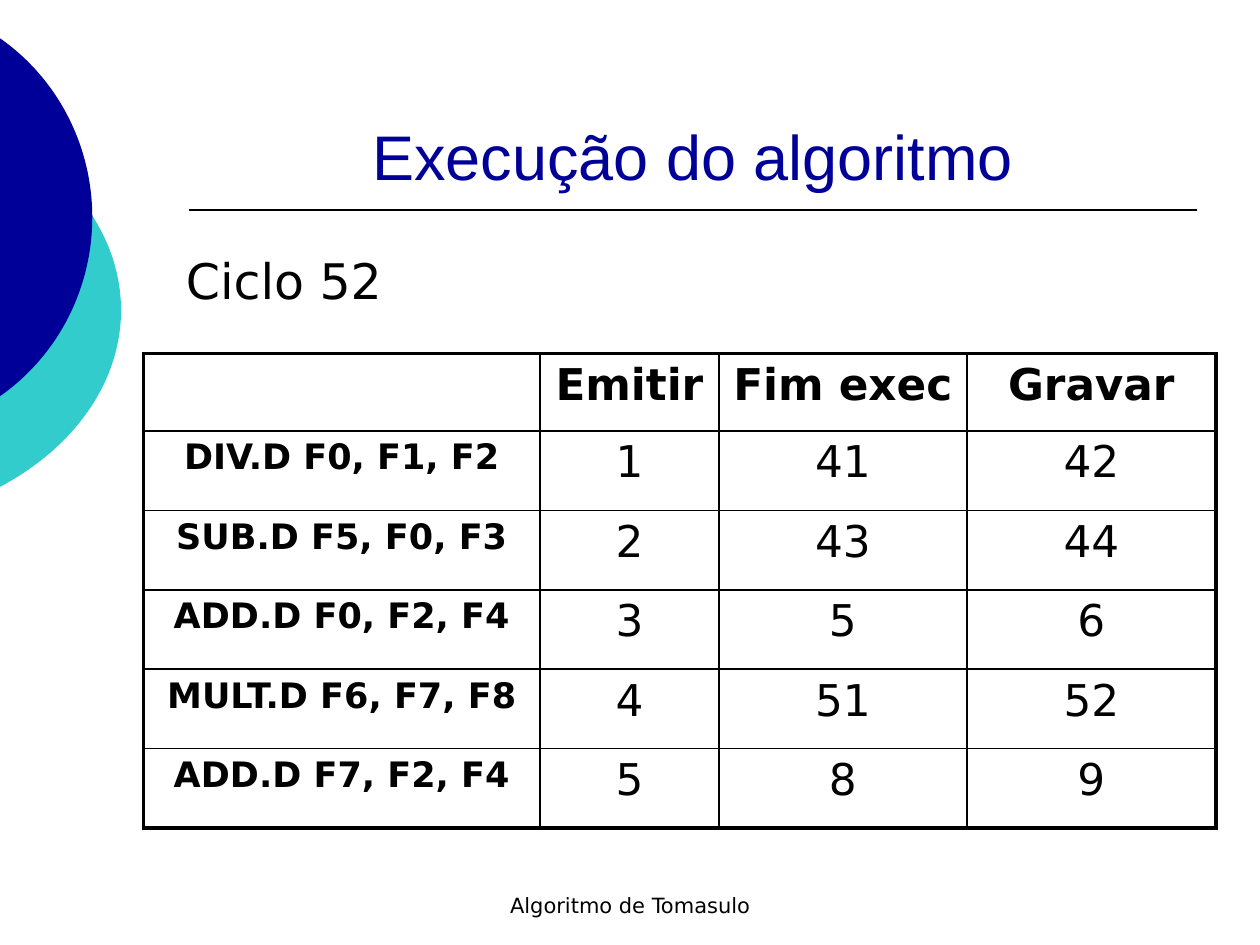
"""Build the slide that shows cycle 52 of the Tomasulo algorithm run."""
from lxml import etree
from pptx import Presentation
from pptx.dml.color import RGBColor
from pptx.enum.shapes import MSO_CONNECTOR, MSO_SHAPE
from pptx.enum.text import MSO_ANCHOR, PP_ALIGN
from pptx.oxml.ns import qn
from pptx.util import Cm, Pt

OVAL, STRAIGHT = MSO_SHAPE.OVAL, MSO_CONNECTOR.STRAIGHT
TOP, BOTTOM = MSO_ANCHOR.TOP, MSO_ANCHOR.BOTTOM
LEFT, CENTER = PP_ALIGN.LEFT, PP_ALIGN.CENTER

BLACK, NAVY, TURQUOISE = "000000", "000099", "33CCCC"
BODY_FONT, TITLE_FONT = "DejaVu Sans", "Arial"
THIN, THICK = 1, 2.25

ROWS = [
    ("", "Emitir", "Fim exec", "Gravar"),
    ("DIV.D F0, F1, F2", "1", "41", "42"),
    ("SUB.D F5, F0, F3", "2", "43", "44"),
    ("ADD.D F0, F2, F4", "3", "5", "6"),
    ("MULT.D F6, F7, F8", "4", "51", "52"),
    ("ADD.D F7, F2, F4", "5", "8", "9"),
]
COLUMN_WIDTHS = [8, 3.6, 5, 5.02]
ROW_HEIGHTS = [1.56] + [1.6] * (len(ROWS) - 1)
TABLE_LEFT, TABLE_TOP = 2.89, 7.13

DISCS = [
    ((-8.99, 1.91, 11.43, 8.69), TURQUOISE),
    ((-6.73, 0, 8.59, 8.76), NAVY),
]


def rgb(color):
    """Turn a hex string into a colour."""
    return RGBColor.from_string(color)


def write(frame, text, size, font=BODY_FONT, color=BLACK, bold=False, align=CENTER):
    """Put one formatted paragraph into a text frame."""
    paragraph = frame.paragraphs[0]
    paragraph.alignment = align
    run = paragraph.add_run()
    run.text = text
    run.font.size = Pt(size)
    run.font.name = font
    run.font.bold = bold
    run.font.color.rgb = rgb(color)


def add_text(slide, text, box, anchor=TOP, **text_format):
    """Add a wrapped text box."""
    frame = slide.shapes.add_textbox(*map(Cm, box)).text_frame
    frame.word_wrap = True
    frame.vertical_anchor = anchor
    write(frame, text, **text_format)


def add_disc(slide, box, color):
    """Draw a plain disc that runs over the slide's left edge."""
    shape = slide.shapes.add_shape(OVAL, *map(Cm, box))
    shape.shadow.inherit = False
    shape.fill.solid()
    shape.fill.fore_color.rgb = rgb(color)
    shape.line.fill.background()


def add_rule(slide, left, right, top):
    """Draw the thin line below the title."""
    connector = slide.shapes.add_connector(STRAIGHT, Cm(left), Cm(top), Cm(right), Cm(top))
    connector.line.color.rgb = rgb(BLACK)
    connector.line.width = Pt(THIN)
    properties = connector._element.find(qn("p:spPr"))
    etree.SubElement(properties, qn("a:effectLst"))


def set_borders(cell, widths):
    """Set the left, right, top and bottom borders of a cell."""
    properties = cell._tc.get_or_add_tcPr()
    for position, (side, width) in enumerate(zip("LRTB", widths)):
        line = etree.Element(qn(f"a:ln{side}"), w=str(Pt(width)))
        fill = etree.SubElement(line, qn("a:solidFill"))
        etree.SubElement(fill, qn("a:srgbClr"), val=BLACK)
        properties.insert(position, line)


def add_schedule(slide):
    """Add the table of instructions and their cycles."""
    box = (TABLE_LEFT, TABLE_TOP, sum(COLUMN_WIDTHS), sum(ROW_HEIGHTS))
    table = slide.shapes.add_table(len(ROWS), len(COLUMN_WIDTHS), *map(Cm, box)).table
    table.first_row = table.horz_banding = False
    for column, width in zip(table.columns, COLUMN_WIDTHS):
        column.width = Cm(width)
    last_row, last_column = len(ROWS) - 1, len(COLUMN_WIDTHS) - 1
    for row, texts in enumerate(ROWS):
        table.rows[row].height = Cm(ROW_HEIGHTS[row])
        for column, text in enumerate(texts):
            cell = table.cell(row, column)
            cell.fill.background()
            outer = (column == 0, column == last_column, row == 0, row == last_row)
            set_borders(cell, [THICK if edge else THIN for edge in outer])
            if text:
                size = 20 if column == 0 else 25
                write(cell.text_frame, text, size=size, bold=row == 0 or column == 0)


def main():
    """Build and save the slide."""
    presentation = Presentation()
    presentation.slide_width, presentation.slide_height = Cm(25.4), Cm(19.05)
    slide = presentation.slides.add_slide(presentation.slide_layouts[6])
    for box, color in DISCS:
        add_disc(slide, box, color)
    add_rule(slide, 3.81, 24.13, 4.24)
    add_text(slide, "Algoritmo de Tomasulo", (8.68, 17.35, 8.05, 1.27), anchor=BOTTOM, size=12)
    add_text(slide, "Execução do algoritmo", (3.8, 0.84, 20.32, 3.18), anchor=BOTTOM,
             size=36, font=TITLE_FONT, color=NAVY)
    add_schedule(slide)
    add_text(slide, "Ciclo 52", (3.5, 4.93, 5.2, 1.45), size=28, align=LEFT)
    presentation.save("out.pptx")


if __name__ == "__main__":
    main()
